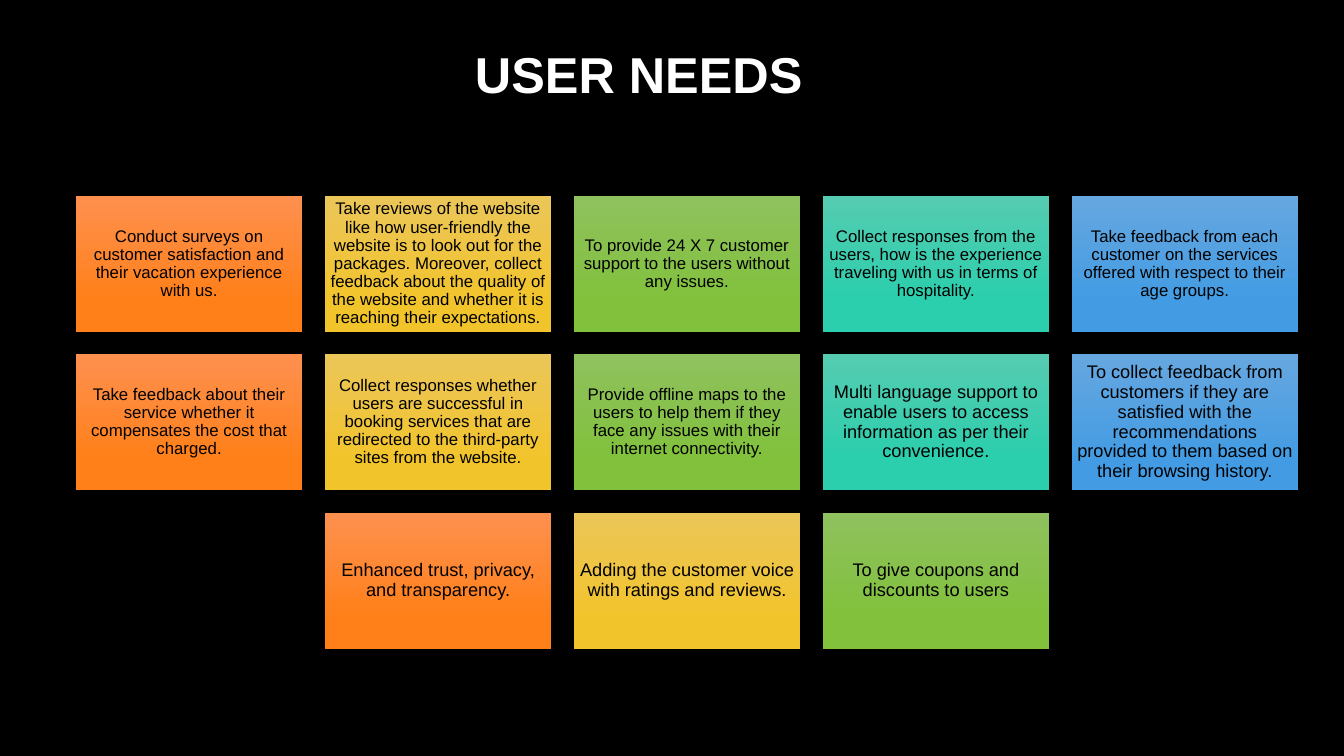
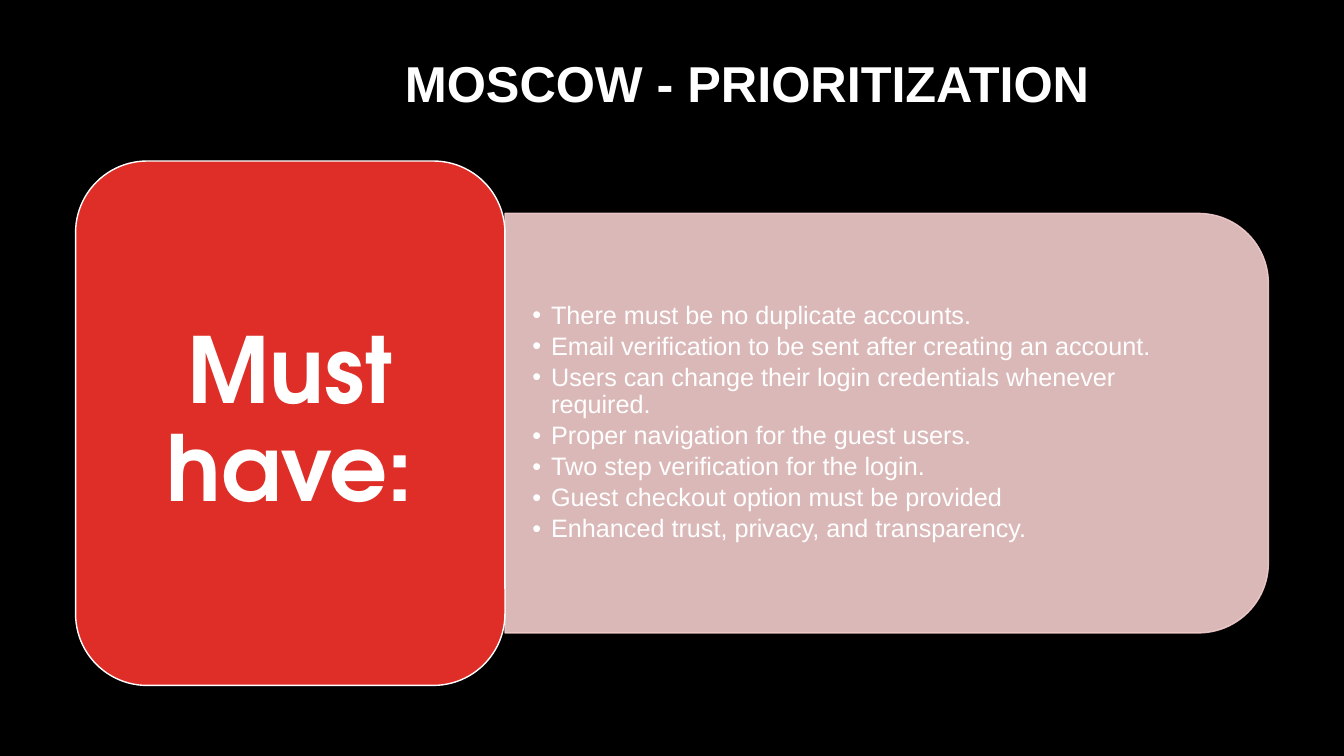
from pptx import Presentation
from pptx.dml.color import RGBColor
from pptx.enum import shapes, text
from pptx.oxml import parse_xml
from pptx.oxml.ns import nsdecls, qn
from pptx.util import Pt

COLORS = {
    "background": "000000",
    "light": "FFFFFF",
    "dark": "000000",
    "label": "DF2E28",
    "panel": "F3CDCD",
}
GRADIENTS = [
    ("FE904F", "FF8019"),
    ("EBC659", "F2C42C"),
    ("8FC15E", "81C13C"),
    ("55CCB1", "2BCEAD"),
    ("66A7E0", "439CE3"),
]
BODY_FONT = "Arial"
LABEL_FONT = "TeX Gyre Adventor"
TITLE = {"name": BODY_FONT, "size": Pt(36), "bold": True}
LABEL = {"name": LABEL_FONT, "size": Pt(65), "bold": True}
BULLET = {"name": BODY_FONT, "size": Pt(18)}
PANEL_ALPHA = 90

# Each row holds (text, size in points).
NEEDS = [
    [
        ("Conduct surveys on customer satisfaction and their vacation experience with us.", 12),
        ("Take reviews of the website like how user-friendly the website is to look out for "
         "the packages. Moreover, collect feedback about the quality of the website and "
         "whether it is reaching their expectations.", 12),
        ("To provide 24 X 7 customer support to the users without any issues.", 12),
        ("Collect responses from the users, how is the experience traveling with us in "
         "terms of hospitality.", 12),
        ("Take feedback from each customer on the services offered with respect to their "
         "age groups.", 12),
    ],
    [
        ("Take feedback about their service whether it compensates the cost that charged.", 12),
        ("Collect responses whether users are successful in booking services that are "
         "redirected to the third-party sites from the website.", 12),
        ("Provide offline maps to the users to help them if they face any issues with their "
         "internet connectivity.", 12),
        ("Multi language support to enable users to access information as per their "
         "convenience.", 13),
        ("To collect feedback from customers if they are satisfied with the recommendations "
         "provided to them based on their browsing history.", 13),
    ],
    [
        ("Enhanced trust, privacy, and transparency.", 13),
        ("Adding the customer voice with ratings and reviews.", 13),
        ("To give coupons and discounts to users", 13),
    ],
]
MUST_HAVES = [
    "There must be no duplicate accounts.",
    "Email verification to be sent after creating an account.",
    "Users can change their login credentials whenever required.",
    "Proper navigation for the guest users.",
    "Two step verification for the login.",
    "Guest checkout option must be provided",
    "Enhanced trust, privacy, and transparency.",
]


def rgb(name):
    return RGBColor.from_string(COLORS[name])


def points(*lengths):
    return [Pt(round(length, 2)) for length in lengths]


def set_frame(shape, margin_x, margin_y, anchor=text.MSO_ANCHOR.MIDDLE):
    frame = shape.text_frame
    values = {
        "word_wrap": True,
        "vertical_anchor": anchor,
        "margin_left": Pt(margin_x),
        "margin_right": Pt(margin_x),
        "margin_top": Pt(margin_y),
        "margin_bottom": Pt(margin_y),
    }
    for name, value in values.items():
        setattr(frame, name, value)
    return frame


def write(paragraph, content, font, color="light", align=text.PP_ALIGN.CENTER):
    paragraph.alignment = align
    paragraph.line_spacing = 0.9
    run = paragraph.add_run()
    run.text = content
    for name, value in font.items():
        setattr(run.font, name, value)
    run.font.color.rgb = rgb(color)


def add_bullet(paragraph, indent):
    properties = paragraph._p.get_or_add_pPr()
    properties.set("marL", str(Pt(indent)))
    properties.set("indent", str(-Pt(indent)))
    properties.append(parse_xml(f'<a:buFont {nsdecls("a")} typeface="{BODY_FONT}"/>'))
    properties.append(parse_xml(f'<a:buChar {nsdecls("a")} char="•"/>'))


def add_outlined(slide, kind, box, color, line_color):
    shape = slide.shapes.add_shape(kind, *points(*box))
    shape.shadow.inherit = False
    shape.fill.solid()
    shape.fill.fore_color.rgb = rgb(color)
    shape.line.color.rgb = rgb(line_color)
    shape.line.width = Pt(1)
    return shape


def set_alpha(shape, percent):
    """Make the fill and the line of a shape partly transparent."""
    for color in shape._element.spPr.iter(qn("a:srgbClr")):
        color.append(parse_xml(f'<a:alpha {nsdecls("a")} val="{percent * 1000}"/>'))


def add_slide(presentation, title, title_box, anchor):
    slide = presentation.slides.add_slide(presentation.slide_layouts[6])
    slide.background.fill.solid()
    slide.background.fill.fore_color.rgb = rgb("background")
    shape = slide.shapes.add_textbox(*points(*title_box))
    frame = set_frame(shape, 7.2, 3.6, anchor)
    write(frame.paragraphs[0], title, TITLE)
    return slide


def add_card(slide, box, content, size, gradient):
    card = slide.shapes.add_shape(shapes.MSO_SHAPE.RECTANGLE, *points(*box))
    card.shadow.inherit = False
    card.line.fill.background()
    card.fill.gradient()
    card.fill.gradient_angle = 270
    for stop, position, color in zip(card.fill.gradient_stops, (0, 0.78), gradient):
        stop.position = position
        stop.color.rgb = RGBColor.from_string(color)
    frame = set_frame(card, 3.6, 3.6)
    write(frame.paragraphs[0], content, {"name": BODY_FONT, "size": Pt(size)}, "dark")


def add_card_grid(slide, left, top, width, rows):
    """Fill the width with the longest row and centre the shorter ones."""
    columns = max(len(row) for row in rows)
    card_width = width / (columns + 0.1 * (columns - 1))
    card_height = 0.6 * card_width
    gap = 0.1 * card_width
    for row_index, row in enumerate(rows):
        start = left + (columns - len(row)) * (card_width + gap) / 2
        y = top + row_index * (card_height + gap)
        for column, (content, size) in enumerate(row):
            x = start + column * (card_width + gap)
            add_card(slide, (x, y, card_width, card_height), content, size, GRADIENTS[column])


def add_priority(slide, left, top, width, height, label, items):
    """Place a label block with a list panel, four fifths as high, on its right."""
    label_width = 0.36 * width
    panel_left = left + label_width
    panel_width = width - label_width
    panel_height = 0.8 * height
    middle = top + height / 2
    # The panel is turned a quarter, so its width and height change places.
    panel_box = (panel_left + (panel_width - panel_height) / 2, middle - panel_width / 2,
                 panel_height, panel_width)
    panel = add_outlined(slide, shapes.MSO_SHAPE.ROUND_2_SAME_RECTANGLE, panel_box,
                         "panel", "panel")
    panel.rotation = 90
    set_alpha(panel, PANEL_ALPHA)

    listing = slide.shapes.add_textbox(
        *points(panel_left, middle - panel_height / 2 + 14.6,
                panel_width - 16, panel_height - 29.2))
    frame = set_frame(listing, 19.5, 9.75)
    for index, item in enumerate(items):
        paragraph = frame.add_paragraph() if index else frame.paragraphs[0]
        paragraph.space_after = Pt(2.7)
        add_bullet(paragraph, 13.5)
        write(paragraph, item, BULLET, align=text.PP_ALIGN.LEFT)

    block = add_outlined(slide, shapes.MSO_SHAPE.ROUNDED_RECTANGLE,
                         (left, top, label_width, height), "label", "light")
    write(set_frame(block, 19.5, 9.75).paragraphs[0], label, LABEL)


def main():
    presentation = Presentation()
    presentation.slide_width = Pt(960)
    presentation.slide_height = Pt(540)

    needs = add_slide(presentation, "USER NEEDS", (306.9, 32, 298.8, 91),
                      text.MSO_ANCHOR.TOP)
    add_card_grid(needs, 54.3, 140, 872.8, NEEDS)

    priorities = add_slide(presentation, "MOSCOW - PRIORITIZATION", (252.7, 25.6, 562.3, 72),
                           text.MSO_ANCHOR.MIDDLE)
    add_priority(priorities, 54, 115, 852, 374.6, "Must have:", MUST_HAVES)

    presentation.save("out.pptx")


if __name__ == "__main__":
    main()
